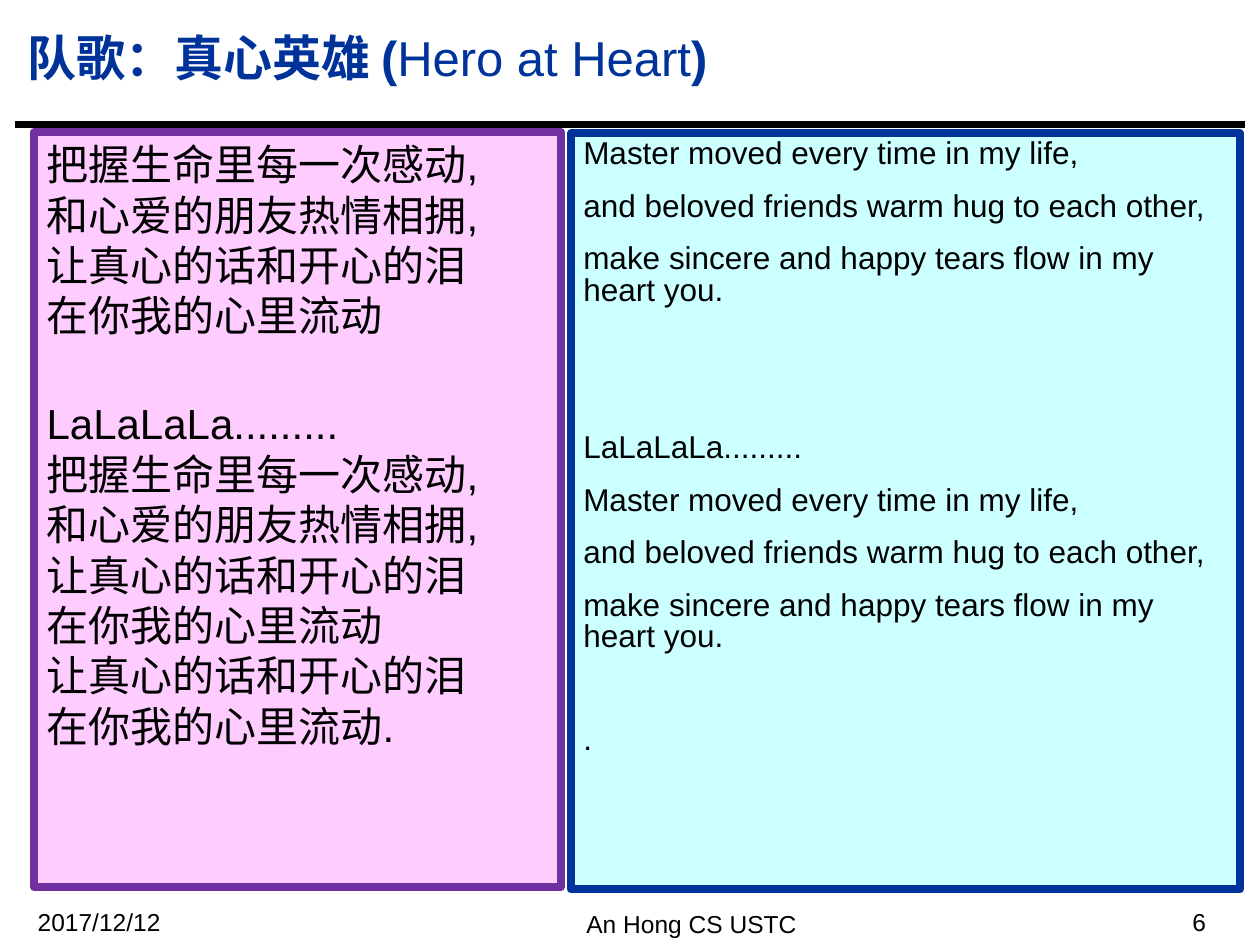
from lxml import etree
from pptx import Presentation
from pptx.dml.color import RGBColor
from pptx.enum.shapes import MSO_CONNECTOR, MSO_SHAPE
from pptx.enum.text import MSO_ANCHOR, PP_ALIGN
from pptx.oxml.ns import qn
from pptx.util import Cm, Pt

STRAIGHT, RECTANGLE = MSO_CONNECTOR.STRAIGHT, MSO_SHAPE.RECTANGLE
TOP, MIDDLE = MSO_ANCHOR.TOP, MSO_ANCHOR.MIDDLE
LEFT, CENTER, RIGHT = PP_ALIGN.LEFT, PP_ALIGN.CENTER, PP_ALIGN.RIGHT

BLACK = RGBColor(0x00, 0x00, 0x00)
NAVY = RGBColor(0x00, 0x33, 0x99)
PURPLE = RGBColor(0x70, 0x30, 0xA0)
PINK = RGBColor(0xFF, 0xCC, 0xFF)
CYAN = RGBColor(0xCC, 0xFF, 0xFF)
FONT = "Arial"

CLOSING_ZH = ["让真心的话和开心的泪", "在你我的心里流动"]
VERSE_ZH = ["把握生命里每一次感动,", "和心爱的朋友热情相拥,"] + CLOSING_ZH
VERSE_EN = [
    "Master moved every time in my life,",
    "and beloved friends warm hug to each other,",
    "make sincere and happy tears flow in my heart you.",
]
HUM = "LaLaLaLa........."
LYRICS_ZH = VERSE_ZH + [HUM] + VERSE_ZH + [CLOSING_ZH[0], CLOSING_ZH[1] + "."]
LYRICS_EN = VERSE_EN + [HUM] + VERSE_EN + ["."]


def add_span(para, text, size=14, color=BLACK, bold=False):
    """Append a formatted run to a paragraph."""
    span = para.add_run()
    span.text = text
    span.font.name = FONT
    span.font.size = Pt(size)
    span.font.bold = bold
    span.font.color.rgb = color


def write_lines(frame, lines, align=LEFT, before=0, leading=None, gaps=None, **style):
    """Write one paragraph per line; gaps overrides the space before by text."""
    frame.word_wrap = True
    frame.vertical_anchor = TOP
    for index, text in enumerate(lines):
        para = frame.add_paragraph() if index else frame.paragraphs[0]
        para.alignment = align
        para.space_before = Pt((gaps or {}).get(text, before) if index else 0)
        if leading:
            para.line_spacing = Pt(leading)
        add_span(para, text, **style)


def add_header(page, left, top, width, height):
    """Format the title and draw the rule below it."""
    title = page.shapes.title
    title.left, title.top = Cm(left), Cm(top)
    title.width, title.height = Cm(width), Cm(height)
    frame = title.text_frame
    frame.vertical_anchor = MIDDLE
    para = frame.paragraphs[0]
    para.alignment = LEFT
    for text, bold in [("队歌：真心英雄 (", True), ("Hero at Heart", False), (")", True)]:
        add_span(para, text, size=28, color=NAVY, bold=bold)
    level = Cm(top + height + 0.2)
    rule = page.shapes.add_connector(STRAIGHT, Cm(left), level, Cm(left + width), level)
    rule.line.color.rgb = BLACK
    rule.line.width = Pt(3.75)
    etree.SubElement(rule.element.spPr, qn("a:effectLst"))


def add_lyrics(page, left, top, width, height, lines, fill, border, **style):
    """Draw a bordered panel holding the lyrics."""
    panel = page.shapes.add_shape(RECTANGLE, Cm(left), Cm(top), Cm(width), Cm(height))
    panel.shadow.inherit = False
    panel.fill.solid()
    panel.fill.fore_color.rgb = fill
    panel.line.color.rgb = border
    panel.line.width = Pt(4.5)
    write_lines(panel.text_frame, lines, **style)


def add_footer(page, left, top, width, height):
    """Place the date, author and page number along the bottom."""
    parts = [
        ("2017/12/12", 0, 0, 6.35, LEFT),
        ("An Hong CS USTC ", 6.6, 0.05, 13.8, CENTER),
        ("6", width - 3.86, 0, 3.86, RIGHT),
    ]
    for text, shift, drop, span_width, align in parts:
        box = page.shapes.add_textbox(
            Cm(left + shift), Cm(top + drop), Cm(span_width), Cm(height))
        write_lines(box.text_frame, [text], align=align)


def main():
    """Build the song slide and save the deck."""
    deck = Presentation()
    deck.slide_width, deck.slide_height = Cm(25.4), Cm(19.05)
    page = deck.slides.add_slide(deck.slide_layouts[5])
    add_header(page, 0.3, 0, 24.8, 2.31)
    add_lyrics(page, 0.69, 2.67, 10.62, 15.21, LYRICS_ZH, PINK, PURPLE,
               size=24, gaps={HUM: 33})
    add_lyrics(page, 11.51, 2.69, 13.49, 15.24, LYRICS_EN, CYAN, NAVY,
               size=18, before=12, leading=18, gaps={HUM: 72, ".": 41})
    add_footer(page, 0.51, 18.16, 24.05, 0.69)
    deck.save("out.pptx")


if __name__ == "__main__":
    main()
